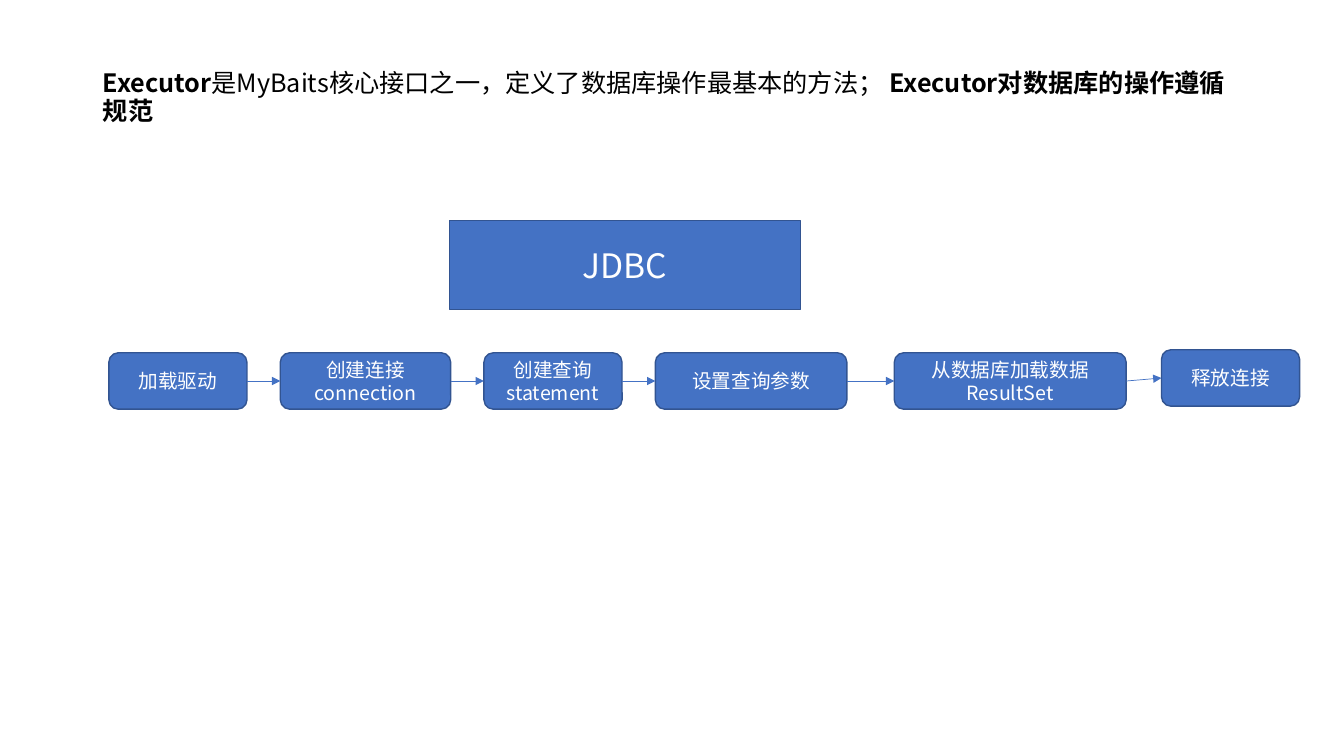
from dataclasses import dataclass
from itertools import pairwise

from lxml.etree import SubElement
from pptx import Presentation
from pptx.dml.color import RGBColor
from pptx.enum.shapes import MSO_CONNECTOR as Conn, MSO_SHAPE as Geo
from pptx.enum.text import MSO_ANCHOR as Anchor, MSO_AUTO_SIZE as Auto, PP_ALIGN as Align
from pptx.oxml.ns import qn
from pptx.shapes.autoshape import Shape
from pptx.slide import Slide
from pptx.text.text import _Run as Run
from pptx.util import Inches, Pt

FONT = "Noto Sans CJK SC"
COLORS = {"fill": "4472C4", "edge": "325491", "light": "FFFFFF", "dark": "000000"}
TITLE = [
    ("Executor", True),
    ("是MyBaits核心接口之一，定义了数据库操作最基本的方法；", False),
    (" Executor对数据库的操作遵循规范", True),
]


@dataclass
class Box:
    lines: list[str]
    left: float
    width: float
    top: float = 3.5
    height: float = 0.56
    size: int = 14
    geo: Geo = Geo.ROUNDED_RECTANGLE


HEADER = Box(["JDBC"], 4.46, 3.48, 2.19, 0.88, 24, Geo.RECTANGLE)
STEPS = [
    Box(["加载驱动"], 1.08, 1.37),
    Box(["创建连接", "connection"], 2.78, 1.69),
    Box(["创建查询", "statement"], 4.8, 1.37),
    Box(["设置查询参数"], 6.5, 1.9),
    Box(["从数据库加载数据", "ResultSet"], 8.87, 2.3),
    Box(["释放连接"], 11.52, 1.37, top=3.47),
]


def rgb(name: str) -> RGBColor:
    """Return the named colour."""
    return RGBColor.from_string(COLORS[name])


def style_run(r: Run, size: int, color: str, bold: bool = False) -> None:
    """Format a run, with the same font for Latin and Chinese text."""
    r.font.color.rgb = rgb(color)
    for key, value in {"size": Pt(size), "bold": bold, "name": FONT}.items():
        setattr(r.font, key, value)
    SubElement(r.font._element, qn("a:ea"), typeface=FONT)


def fill_title(s: Slide) -> None:
    """Place and write the title."""
    sp = s.shapes.title
    place = {"left": 0.92, "top": 0.4, "width": 11.5, "height": 1.45}
    for key, value in place.items():
        setattr(sp, key, Inches(value))
    tf = sp.text_frame
    frame = {"vertical_anchor": Anchor.MIDDLE, "word_wrap": True,
             "auto_size": Auto.NONE, "margin_bottom": Inches(0.35)}
    for key, value in frame.items():
        setattr(tf, key, value)
    p = tf.paragraphs[0]
    p.alignment = Align.LEFT
    p.line_spacing = 0.9
    for text, bold in TITLE:
        r = p.add_run()
        r.text = text
        style_run(r, 18, "dark", bold)


def add_box(s: Slide, box: Box) -> Shape:
    """Draw a filled box with centred lines of text."""
    sp = s.shapes.add_shape(box.geo, Inches(box.left), Inches(box.top),
                            Inches(box.width), Inches(box.height))
    sp.shadow.inherit = False
    sp.fill.solid()
    sp.fill.fore_color.rgb = rgb("fill")
    sp.line.color.rgb = rgb("edge")
    sp.line.width = Pt(1)
    tf = sp.text_frame
    tf.word_wrap = True
    tf.vertical_anchor = Anchor.MIDDLE
    tf.text = "\n".join(box.lines)
    for p in tf.paragraphs:
        p.alignment = Align.CENTER
        style_run(p.runs[0], box.size, "light")
    return sp


def add_arrow(s: Slide, start: Shape, end: Shape) -> None:
    """Join the right side of one box to the left side of the next."""
    arrow = s.shapes.add_connector(Conn.STRAIGHT, 0, 0, 0, 0)
    arrow.begin_connect(start, 3)
    arrow.end_connect(end, 1)
    arrow.line.color.rgb = rgb("fill")
    arrow.line.width = Pt(0.5)
    SubElement(arrow.line._get_or_add_ln(), qn("a:tailEnd"), type="triangle")
    SubElement(arrow._element.spPr, qn("a:effectLst"))


def main() -> None:
    """Build and save the slide."""
    prs = Presentation()
    prs.slide_width, prs.slide_height = Inches(13.33), Inches(7.5)
    s = prs.slides.add_slide(prs.slide_layouts[5])
    fill_title(s)
    boxes = [add_box(s, step) for step in STEPS]
    for start, end in pairwise(boxes):
        add_arrow(s, start, end)
    add_box(s, HEADER)
    prs.save("out.pptx")


if __name__ == "__main__":
    main()
